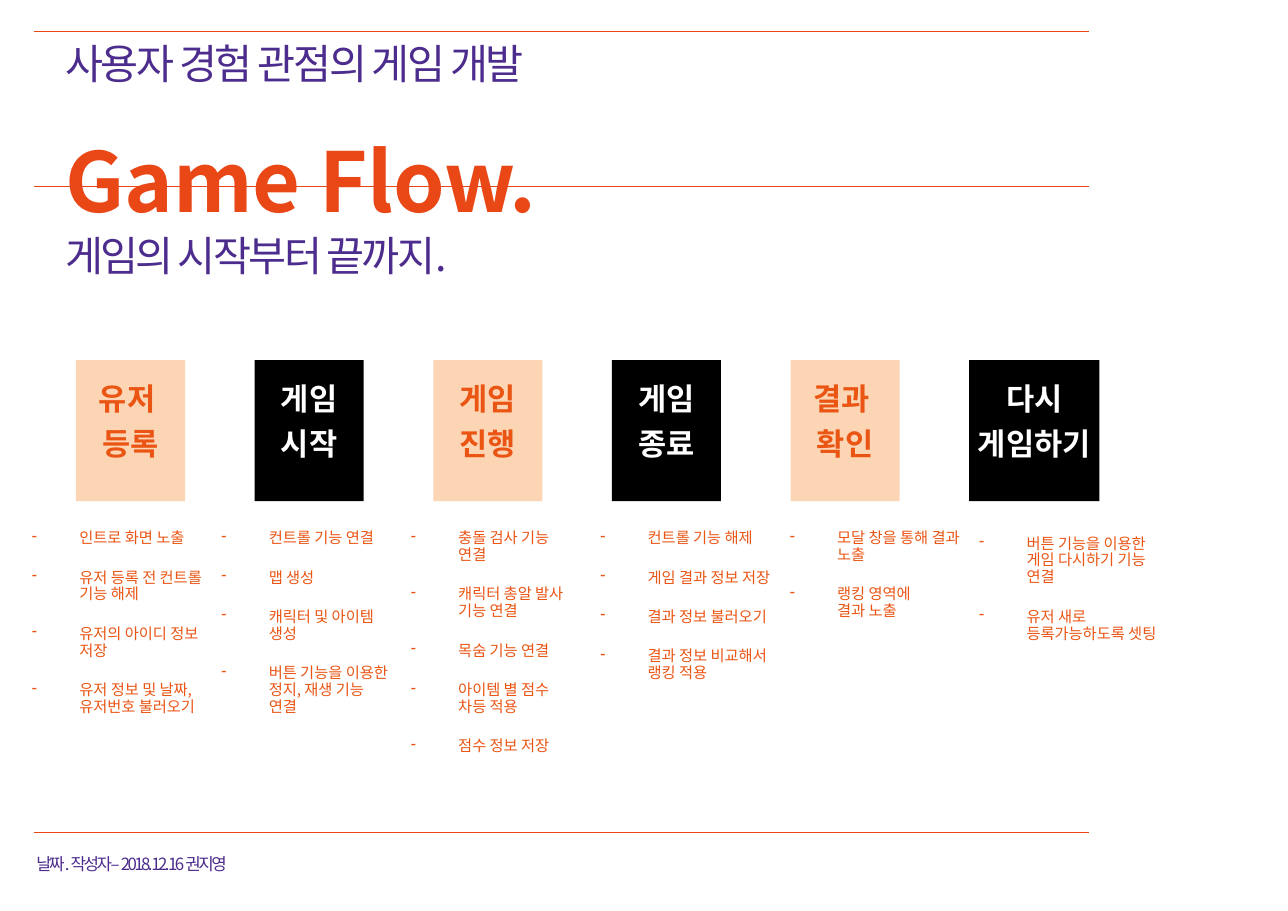
from dataclasses import dataclass

from lxml import etree
from pptx import Presentation
from pptx import util as u
from pptx.dml.color import RGBColor
from pptx.enum import shapes, text
from pptx.oxml import ns


@dataclass(frozen=True)
class Theme:
    font: str = "Noto Sans CJK KR"
    rule: str = "E94716"
    title: str = "E94716"
    purple: str = "4C2C8D"
    orange: str = "EA5514"
    peach: str = "FCD5B5"
    black: str = "000000"
    white: str = "FFFFFF"
    title_size: int = 54
    heading_size: int = 27
    step_size: int = 20
    footer_size: int = 11
    list_size: int = 10


THEME = Theme()

STEPS = [
    (("유저 ", "등록"), (
        "인트로 화면 노출",
        "유저 등록 전 컨트롤 기능 해제",
        "유저의 아이디 정보 저장",
        "유저 정보 및 날짜, 유저번호 불러오기",
    )),
    (("게임", "시작"), (
        "컨트롤 기능 연결",
        "맵 생성",
        "캐릭터 및 아이템\v생성",
        "버튼 기능을 이용한\v정지, 재생 기능\v연결",
    )),
    (("게임", "진행"), (
        "충돌 검사 기능\v연결",
        "캐릭터 총알 발사\v기능 연결",
        "목숨 기능 연결",
        "아이템 별 점수\v차등 적용",
        "점수 정보 저장",
    )),
    (("게임", "종료"), (
        "컨트롤 기능 해제",
        "게임 결과 정보 저장",
        "결과 정보 불러오기",
        "결과 정보 비교해서 랭킹 적용",
    )),
    (("결과 ", "확인"), (
        "모달 창을 통해 결과 노출",
        "랭킹 영역에\v결과 노출",
    )),
    (("다시", "게임하기"), (
        "버튼 기능을 이용한 게임 다시하기 기능 연결",
        "유저 새로 등록가능하도록 셋팅",
    )),
]


def write_text(frame, lines, *, size, color, bold=False, tracking=0, leading=None,
               gap=0, align=text.PP_ALIGN.LEFT, anchor=text.MSO_ANCHOR.TOP,
               bullet=None, hanging=0.43):
    frame.word_wrap = True
    frame.vertical_anchor = anchor
    frame.margin_left = frame.margin_right = frame.margin_top = frame.margin_bottom = 0
    for index, line in enumerate(lines):
        paragraph = frame.add_paragraph() if index else frame.paragraphs[0]
        paragraph.text = line
        paragraph.alignment = align
        if bullet:
            properties = paragraph._p.get_or_add_pPr()
            properties.set("marL", str(u.Inches(hanging)))
            properties.set("indent", str(-u.Inches(hanging)))
            etree.SubElement(properties, ns.qn("a:buChar")).set("char", bullet)
        if leading:
            paragraph.line_spacing = u.Pt(leading)
        paragraph.space_before = u.Pt(gap if index else 0)
        for run in paragraph.runs:
            run.font.size = u.Pt(size)
            run.font.bold = bold
            run.font.color.rgb = RGBColor.from_string(color)
            run.font.name = THEME.font
            properties = run._r.get_or_add_rPr()
            etree.SubElement(properties, ns.qn("a:ea")).set("typeface", THEME.font)
            if tracking:
                properties.set("spc", str(round(tracking * 100)))


class SlideBuilder:
    def __init__(self, presentation, theme):
        self.theme = theme
        self.column = presentation.slide_width / 100
        self.row = presentation.slide_height / 100
        self.slide = presentation.slides.add_slide(presentation.slide_layouts[6])

    def place(self, left, top, width, height):
        return (round(left * self.column), round(top * self.row),
                round(width * self.column), round(height * self.row))

    def rule(self, top, left=2.65, right=84.52):
        x, y, width, _ = self.place(left, top, right - left, 0)
        line = self.slide.shapes.add_connector(
            shapes.MSO_CONNECTOR.STRAIGHT, x, y, x + width, y)
        line.line.color.rgb = RGBColor.from_string(self.theme.rule)
        line.line.width = u.Pt(0.3)
        etree.SubElement(line._element.spPr, ns.qn("a:effectLst"))

    def label(self, lines, left, top, width, height, **style):
        box = self.slide.shapes.add_textbox(*self.place(left, top, width, height))
        write_text(box.text_frame, lines, **style)

    def step(self, words, left, top, width, height, fill, color):
        shape = self.slide.shapes.add_shape(
            shapes.MSO_SHAPE.RECTANGLE, *self.place(left, top, width, height))
        shape.shadow.inherit = False
        shape.fill.solid()
        shape.fill.fore_color.rgb = RGBColor.from_string(fill)
        shape.line.fill.background()
        write_text(shape.text_frame, words, size=self.theme.step_size, color=color,
                   bold=True, leading=11, gap=19, align=text.PP_ALIGN.CENTER,
                   anchor=text.MSO_ANCHOR.MIDDLE)

    def task_list(self, tasks, left, top):
        self.label(tasks, left, top, 13.86, 24.3, size=self.theme.list_size,
                   color=self.theme.orange, leading=11, gap=14.8, bullet="-")


def main():
    presentation = Presentation()
    presentation.slide_width = u.Inches(11.69)
    presentation.slide_height = u.Inches(8.27)
    builder = SlideBuilder(presentation, THEME)

    for top in (3.39, 20.44, 91.41):
        builder.rule(top)

    heading = dict(size=THEME.heading_size, color=THEME.purple)
    builder.label(["사용자 경험 관점의 게임 개발"], 5.05, 4.23, 79.47, 8.22,
                  tracking=-1.5, **heading)
    builder.label(["Game Flow."], 5.05, 14.27, 79.47, 8.22,
                  size=THEME.title_size, color=THEME.title, bold=True)
    builder.label(["게임의 시작부터 끝까지."], 5.05, 25.88, 79.47, 8.22,
                  tracking=-1.7, leading=29, **heading)

    for index, (words, tasks) in enumerate(STEPS):
        last = index == len(STEPS) - 1
        fill, color = ((THEME.black, THEME.white) if index % 2
                       else (THEME.peach, THEME.orange))
        builder.step(words, 5.9 + 13.87 * index, 39.54, 10.1 if last else 8.47,
                     15.48, fill, color)
        builder.task_list(tasks, 2.48 + 14.71 * index, 58.77 if last else 58.16)

    builder.label(["날짜. 작성자 – 2018. 12. 16 권지영"], 2.82, 90.93, 60.65, 7.26,
                  size=THEME.footer_size, color=THEME.purple, tracking=-1.7, leading=29.5)

    presentation.save("out.pptx")


if __name__ == "__main__":
    main()
